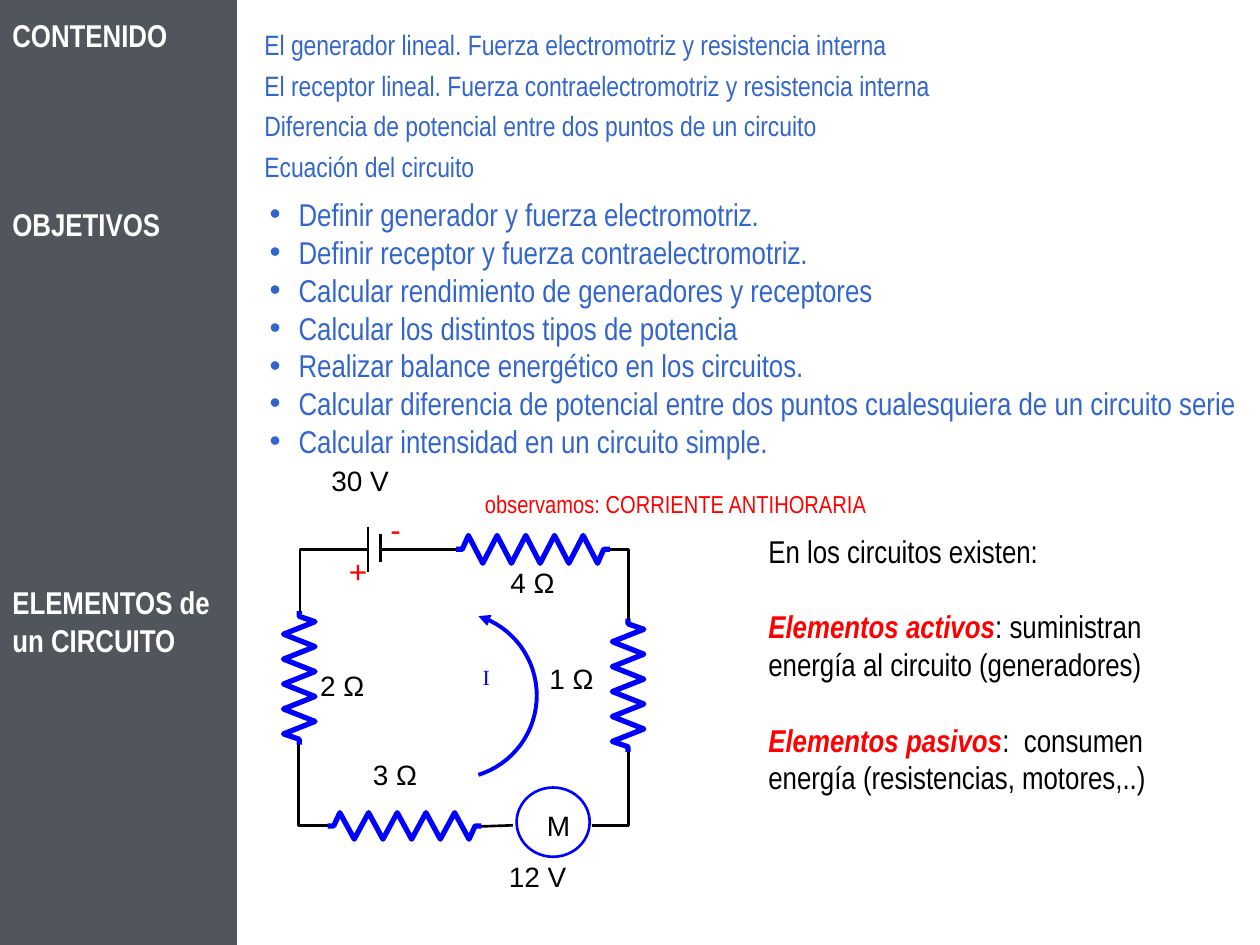
from dataclasses import dataclass
from math import asin, cos, sin

from lxml.etree import SubElement
from pptx import Presentation
from pptx.dml.color import RGBColor
from pptx.enum.shapes import MSO_CONNECTOR, MSO_SHAPE
from pptx.enum.text import PP_ALIGN
from pptx.oxml.ns import qn
from pptx.util import Inches, Pt

Point = tuple[float, float]
Bounds = tuple[float, float, float, float]


@dataclass(frozen=True)
class Theme:
    sidebar: str = "50565B"
    heading: str = "FFFFFF"
    topic: str = "3366CC"
    accent: str = "FF0000"
    ink: str = "000000"
    component: str = "0000FF"
    narrow: str = "Arial Narrow"
    sans: str = "Arial"
    serif: str = "Times New Roman"
    body_size: float = 18
    topic_size: float = 16
    note_size: float = 14
    current_size: float = 12.4
    wire: float = 1.5
    arrow: float = 2.25
    resistor: float = 3


@dataclass(frozen=True)
class Span:
    text: str
    color: str = Theme.ink
    strong: bool = False
    italic: bool = False


@dataclass(frozen=True)
class Para:
    spans: list[Span]
    before: float = 0


@dataclass(frozen=True)
class Resistor:
    bounds: Bounds
    vertical: bool


@dataclass(frozen=True)
class Label:
    text: str
    bounds: Bounds


THEME = Theme()
BLANK_LINE = 21.6  # height of one line of body text, in points


def add_text(page, bounds: Bounds, paras: list[Para], *, size: float = THEME.body_size,
             font: str = THEME.narrow, insets: Bounds = (0.1, 0.05, 0.1, 0.05),
             align=None, bullet: bool = False, hanging: float = 0, spacing: float | None = None):
    box = page.shapes.add_textbox(*map(Inches, bounds))
    frame = box.text_frame
    frame.word_wrap = True
    (frame.margin_left, frame.margin_top,
     frame.margin_right, frame.margin_bottom) = map(Inches, insets)
    for index, para in enumerate(paras):
        paragraph = frame.paragraphs[0] if index == 0 else frame.add_paragraph()
        properties = paragraph._p.get_or_add_pPr()
        if hanging:
            properties.set("marL", str(Inches(hanging)))
            properties.set("indent", str(-Inches(hanging)))
        if bullet:
            SubElement(properties, qn("a:buFont")).set("typeface", THEME.sans)
            SubElement(properties, qn("a:buChar")).set("char", "•")
        paragraph.alignment = align
        paragraph.line_spacing = spacing
        if para.before:
            paragraph.space_before = Pt(para.before)
        for span in para.spans:
            run = paragraph.add_run()
            run.text = span.text
            run.font.name, run.font.size = font, Pt(size)
            run.font.bold, run.font.italic = span.strong, span.italic
            run.font.color.rgb = RGBColor.from_string(span.color)
    return box


def set_line(shape, color: str, width: float) -> None:
    shape.line.color.rgb = RGBColor.from_string(color)
    shape.line.width = Pt(width)


def add_outline(page, points: list[Point], color: str = THEME.ink, width: float = THEME.wire):
    start, *rest = [(Inches(x), Inches(y)) for x, y in points]
    builder = page.shapes.build_freeform(*start)
    builder.add_line_segments(rest, close=False)
    shape = builder.convert_to_shape()
    shape.fill.background()
    shape.shadow.inherit = False
    set_line(shape, color, width)
    SubElement(shape.line._get_or_add_ln(), qn("a:round"))
    return shape


def add_wire(page, start: Point, end: Point) -> None:
    wire = page.shapes.add_connector(MSO_CONNECTOR.STRAIGHT, *map(Inches, start + end))
    set_line(wire, THEME.ink, THEME.wire)
    SubElement(wire._element.spPr, qn("a:effectLst"))


def add_resistor(page, resistor: Resistor) -> None:
    left, top, width, height = resistor.bounds
    # Shares of the length, paired with the side of the axis (-1, 0 or 1)
    zigzag = [(0, 0), (0.04, 0)]
    zigzag += [(0.08 + 0.84 * tooth / 9, (-1) ** (tooth + 1)) for tooth in range(10)]
    zigzag += [(0.96, 0), (1, 0)]
    if resistor.vertical:
        points = [(left + width * (1 - side) / 2, top + height * share) for share, side in zigzag]
    else:
        points = [(left + width * share, top + height * (1 + side) / 2) for share, side in zigzag]
    add_outline(page, points, THEME.component, THEME.resistor)


def add_current_arrow(page) -> None:
    center_x, center_y, radius, half_height = 3.6, 5.52, 0.66, 0.63
    reach, steps = asin(half_height / radius), 32
    angles = [reach * (2 * step / steps - 1) for step in range(steps + 1)]
    arrow = add_outline(page, [(center_x + radius * cos(angle), center_y + radius * sin(angle))
                               for angle in angles], THEME.component, THEME.arrow)
    SubElement(arrow.line._get_or_add_ln(), qn("a:headEnd")).set("type", "triangle")


def add_sidebar(page) -> None:
    panel = page.shapes.add_shape(MSO_SHAPE.RECTANGLE, 0, 0, Inches(1.88), Inches(7.5))
    panel.shadow.inherit = False
    panel.fill.solid()
    panel.fill.fore_color.rgb = RGBColor.from_string(THEME.sidebar)
    panel.line.fill.background()
    headings = [("CONTENIDO", 0), ("OBJETIVOS", 4), ("ELEMENTOS de un CIRCUITO", 9)]
    add_text(page, (0, 0.08, 1.83, 5.2),
             [Para([Span(text, THEME.heading, strong=True)], gap * BLANK_LINE)
              for text, gap in headings])


def add_circuit(page) -> None:
    # Wires and battery plates
    for start, end in [((3.62, 4.36), (3.02, 4.36)), ((3.02, 4.24), (3.02, 4.46)),
                       ((2.92, 4.18), (2.92, 4.54)), ((2.92, 4.36), (2.64, 4.36)),
                       ((4.07, 6.55), (3.79, 6.56))]:
        add_wire(page, start, end)
    # Wire corners
    for corner in [[(2.38, 4.85), (2.38, 4.36), (2.66, 4.36)],
                   [(4.84, 4.36), (4.99, 4.36), (4.99, 4.91)],
                   [(4.99, 5.97), (4.99, 6.55), (4.7, 6.55)],
                   [(2.37, 5.85), (2.37, 6.55), (2.62, 6.55)]]:
        add_outline(page, corner)
    # Resistors, current and motor
    for resistor in [Resistor((3.62, 4.25, 1.22, 0.22), False),
                     Resistor((2.25, 4.85, 0.25, 1.06), True),
                     Resistor((2.6, 6.45, 1.22, 0.21), False),
                     Resistor((4.86, 4.91, 0.25, 1.06), True)]:
        add_resistor(page, resistor)
    add_current_arrow(page)
    motor = page.shapes.add_shape(MSO_SHAPE.OVAL, *map(Inches, (4.1, 6.25, 0.58, 0.55)))
    motor.fill.background()
    motor.shadow.inherit = False
    set_line(motor, THEME.component, THEME.wire)
    # Values and signs
    for label in [Label("4 Ω", (4.04, 4.48, 0.57, 0.34)), Label("2 Ω", (2.53, 5.3, 0.58, 0.34)),
                  Label("3 Ω", (2.95, 6, 0.58, 0.34)), Label("1 Ω", (4.35, 5.24, 0.58, 0.34)),
                  Label("12 V", (4.03, 6.81, 0.87, 0.52)), Label("30 V", (2.62, 3.67, 0.82, 0.44)),
                  Label("M", (4.33, 6.41, 0.44, 0.55))]:
        add_text(page, label.bounds, [Para([Span(label.text)])], size=THEME.topic_size,
                 font=THEME.sans, insets=(0.01,) * 4, align=PP_ALIGN.JUSTIFY)
    add_text(page, (3.79, 5.27, 0.25, 0.31), [Para([Span("I", THEME.component)])],
             size=THEME.current_size, font=THEME.serif, insets=(0.04,) * 4,
             align=PP_ALIGN.JUSTIFY, spacing=0.8)
    for sign in [Label("+", (2.67, 4.33, 0.42, 0.4)), Label("-", (3, 4, 0.42, 0.4))]:
        add_text(page, sign.bounds, [Para([Span(sign.text, THEME.accent)])], font=THEME.sans)
    add_text(page, (3.75, 3.83, 3.83, 0.34),
             [Para([Span("observamos: CORRIENTE ANTIHORARIA", THEME.accent)])],
             size=THEME.note_size)


def add_lesson_text(page) -> None:
    topics = ["El generador lineal. Fuerza electromotriz y resistencia interna",
              "El receptor lineal. Fuerza contraelectromotriz y resistencia interna",
              "Diferencia de potencial entre dos puntos de un circuito", "Ecuación del circuito"]
    add_text(page, (2, 0.17, 6, 1.42),
             [Para([Span(topic, THEME.topic)], 4 if index else 0)
              for index, topic in enumerate(topics)], size=THEME.topic_size, hanging=0.5)
    goals = ["Definir generador y fuerza electromotriz.",
             "Definir receptor y fuerza contraelectromotriz.",
             "Calcular rendimiento de generadores y receptores",
             "Calcular los distintos tipos de potencia",
             "Realizar balance energético en los circuitos.",
             "Calcular diferencia de potencial entre dos puntos cualesquiera de un circuito serie",
             "Calcular intensidad en un circuito simple."]
    add_text(page, (2, 1.5, 8.25, 2.2), [Para([Span(goal, THEME.topic)]) for goal in goals],
             insets=(0.14, 0.05, 0.1, 0.05), bullet=True, hanging=0.23)
    elements = [("Elementos activos", ": suministran energía al circuito (generadores)"),
                ("Elementos pasivos", ":  consumen energía (resistencias, motores,..)")]
    add_text(page, (6, 4.17, 3.5, 2.2), [Para([Span("En los circuitos existen:")])] + [
        Para([Span(term, THEME.accent, strong=True, italic=True), Span(meaning)], BLANK_LINE)
        for term, meaning in elements])


def main() -> None:
    deck = Presentation()
    deck.slide_width, deck.slide_height = Inches(10), Inches(7.5)
    page = deck.slides.add_slide(deck.slide_layouts[6])
    add_sidebar(page)
    add_circuit(page)
    add_lesson_text(page)
    deck.save("out.pptx")


if __name__ == "__main__":
    main()
